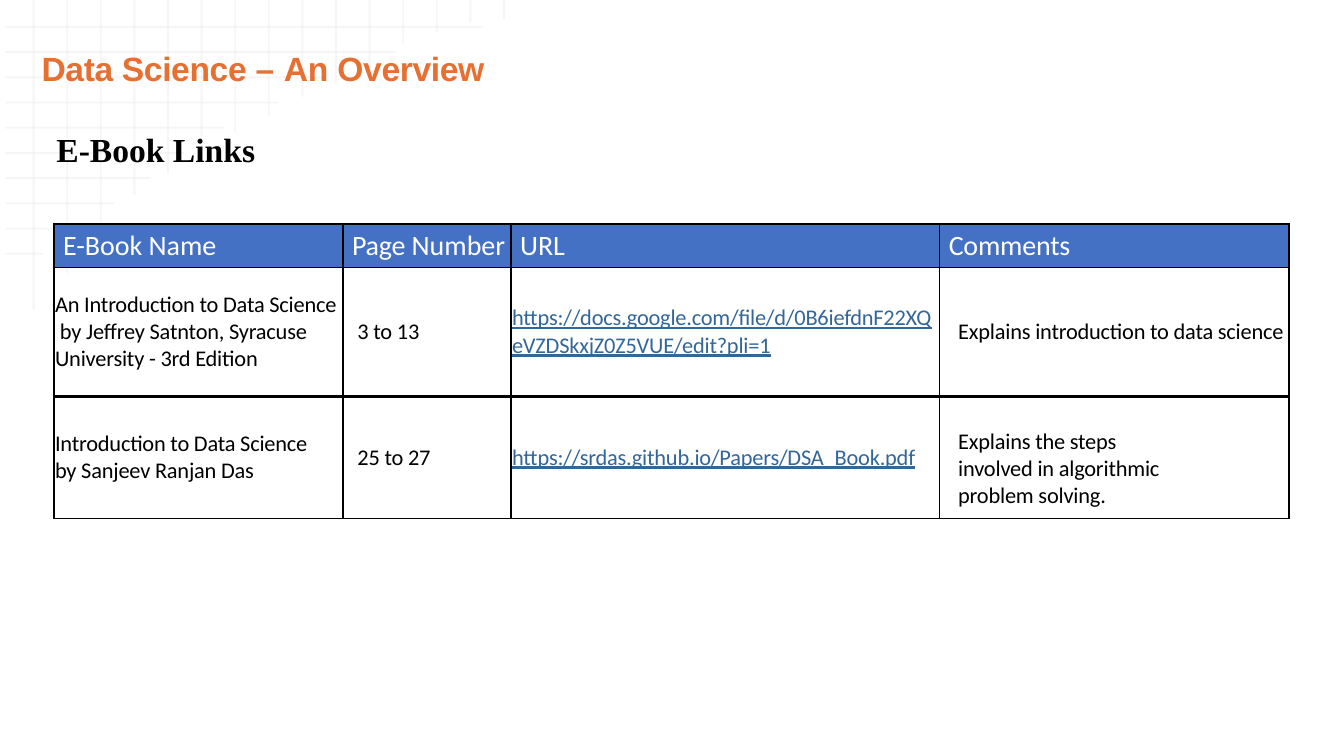
from dataclasses import dataclass

from lxml import etree
from pptx import Presentation
from pptx.dml.color import RGBColor
from pptx.enum.shapes import MSO_CONNECTOR
from pptx.enum.text import MSO_ANCHOR, PP_ALIGN
from pptx.oxml.ns import qn
from pptx.util import Inches, Pt

STRAIGHT = MSO_CONNECTOR.STRAIGHT
MIDDLE = MSO_ANCHOR.MIDDLE
LEFT = PP_ALIGN.LEFT


@dataclass(frozen=True)
class TextStyle:
    font: str
    size: float
    color: str
    bold: bool = False
    underline: bool = False


@dataclass(frozen=True)
class Theme:
    title = TextStyle("Arial", 18, "E67032", bold=True)
    heading = TextStyle("Times New Roman", 18, "000000", bold=True)
    header = TextStyle("Calibri", 15, "FFFFFF")
    body = TextStyle("Calibri", 12, "000000")
    link = TextStyle("Calibri", 12, "336699", underline=True)
    header_fill = "4471C4"
    border = "000000"
    mesh = "EFEFEF"
    mesh_alpha = 54
    thin = 1
    thick = 1.5


class SlideBuilder:
    """Draws on one page with a grid of 40 columns and 30 rows."""

    def __init__(self, theme, width=10, height=5.625):
        self.theme = theme
        self.deck = Presentation()
        self.deck.slide_width = Inches(width)
        self.deck.slide_height = Inches(height)
        self.column = width / 40
        self.row = height / 30
        self.page = self.deck.slides.add_slide(self.deck.slide_layouts[5])

    def across(self, columns):
        return Inches(columns * self.column)

    def down(self, rows):
        return Inches(rows * self.row)

    def frame(self, left, top, width, height):
        return self.across(left), self.down(top), self.across(width), self.down(height)

    def add_spans(self, paragraph, spans, style):
        paragraph.alignment = LEFT
        for text, spacing in spans:
            for index, part in enumerate(text.split("\n")):
                if index:
                    paragraph.add_line_break()
                span = paragraph.add_run()
                span.text = part
                span.font.name = style.font
                span.font.size = Pt(style.size)
                span.font.bold = style.bold
                span.font.underline = style.underline
                span.font.color.rgb = RGBColor.from_string(style.color)
                span.font._element.set("spc", str(round(spacing * 100)))

    def fill_box(self, box, spans, style):
        frame = box.text_frame
        frame.word_wrap = True
        frame.vertical_anchor = MIDDLE
        frame.margin_left = frame.margin_top = Inches(0.01)
        frame.margin_right = frame.margin_bottom = 0
        self.add_spans(frame.paragraphs[0], spans, style)

    def title(self, place, spans):
        box = self.page.shapes.title
        box.left, box.top, box.width, box.height = self.frame(*place)
        box.element.getparent().append(box.element)
        self.fill_box(box, spans, self.theme.title)

    def heading(self, place, spans):
        box = self.page.shapes.add_textbox(*self.frame(*place))
        self.fill_box(box, spans, self.theme.heading)

    def mesh_line(self, group, start, end):
        line = group.shapes.add_connector(
            STRAIGHT, self.across(start[0]), self.down(start[1]),
            self.across(end[0]), self.down(end[1]))
        line.line.width = Pt(self.theme.thin)
        line.line.color.rgb = RGBColor.from_string(self.theme.mesh)
        properties = line.element.spPr
        color = properties.find(".//" + qn("a:srgbClr"))
        etree.SubElement(color, qn("a:alpha"), val=str(self.theme.mesh_alpha * 1000))
        etree.SubElement(properties, qn("a:effectLst"))

    def mesh(self, row_ends, column_ends):
        group = self.page.shapes.add_group_shape()
        for row, end in enumerate(row_ends, 1):
            self.mesh_line(group, (0.16, row + 0.07), (end, row + 0.07))
        for column, end in enumerate(column_ends, 1):
            self.mesh_line(group, (column, end), (column, 0))

    def border(self, cell, widths):
        properties = cell._tc.get_or_add_tcPr()
        for side, width in widths.items():
            line = etree.SubElement(properties, qn("a:ln" + side), w=str(Pt(width)))
            fill = etree.SubElement(line, qn("a:solidFill"))
            etree.SubElement(fill, qn("a:srgbClr"), val=self.theme.border)

    def cell(self, cell, spans, style, indent, drop=0):
        cell.vertical_anchor = MIDDLE
        cell.margin_left = Inches(indent)
        cell.margin_top = Inches(drop)
        cell.margin_right = cell.margin_bottom = 0
        self.add_spans(cell.text_frame.paragraphs[0], spans, style)

    def table(self, corner, widths, heights, header, books):
        theme = self.theme
        place = self.frame(*corner, sum(widths), sum(heights))
        table = self.page.shapes.add_table(len(heights), len(widths), *place).table
        table.first_row = table.horz_banding = False
        for column, width in zip(table.columns, widths):
            column.width = self.across(width)
        for row, height in zip(table.rows, heights):
            row.height = self.down(height)
        for row in range(len(heights)):
            for column in range(len(widths)):
                cell = table.cell(row, column)
                top = theme.thick if row == 2 else theme.thin
                bottom = theme.thick if row == 1 else theme.thin
                self.border(cell, {"L": theme.thin, "R": theme.thin, "T": top, "B": bottom})
                if row == 0:
                    cell.fill.solid()
                    cell.fill.fore_color.rgb = RGBColor.from_string(theme.header_fill)
                    self.cell(cell, header[column], theme.header, 0.07)
                else:
                    cell.fill.background()
                    spans = books[row - 1][column]
                    style = theme.link if column == 2 else theme.body
                    drop = 0.17 if (row, column) == (2, 3) else 0
                    self.cell(cell, spans, style, (0.01, 0.11, 0.01, 0.14)[column], drop)

    def save(self):
        self.deck.save("out.pptx")


def main():
    slide = SlideBuilder(Theme())
    slide.mesh(
        row_ends=(14.36, 11.8, 9.64, 8.28, 6.68, 5.48, 4.48, 3.4, 2.48, 1.28),
        column_ends=(12.27, 10.83, 8.85, 7.73, 6.88, 6.19, 5.28, 4.59,
                     3.84, 3.31, 2.56, 1.76, 1.28, 0.91, 0.75))
    slide.title((1.2, 1.81, 13.6, 1.76), [
        ("Data Science ", -0.2), ("– ", 0), ("An ", -0.1), ("Overview", -0.2)])
    slide.table(
        corner=(1.6, 8.9), widths=(8.6, 5, 12.76, 10.4), heights=(1.71, 5.12, 4.85),
        header=([("E-Book Name", 0)], [("Page ", -0.1), ("Number", 0)],
                [("URL", 0)], [("Comments", -0.1)]),
        books=(
            ([("An Introduction to Data Science\n by Jeffrey Satnton, Syracuse\n"
               "University - 3rd Edition", -0.1)],
             [("3 to 13", -0.1)],
             [("https://docs.google.com/file/d/0B6iefdnF22XQ", -0.1), (" ", 0),
              ("eVZDSkxjZ0Z5VUE/edit?pli=1", -0.1)],
             [("Explains introduction to data science", -0.1)]),
            ([("Introduction to Data Science\nby Sanjeev Ranjan Das", -0.1)],
             [("25 to 27", -0.1)],
             [("https://srdas.github.io/Papers/DSA_Book.pdf", -0.1)],
             [("Explains the steps\ninvolved in algorithmic\nproblem solving.", -0.1)])))
    slide.heading((1.64, 5.07, 6.2, 1.65), [("E-Book Links", 0)])
    slide.save()


if __name__ == "__main__":
    main()
